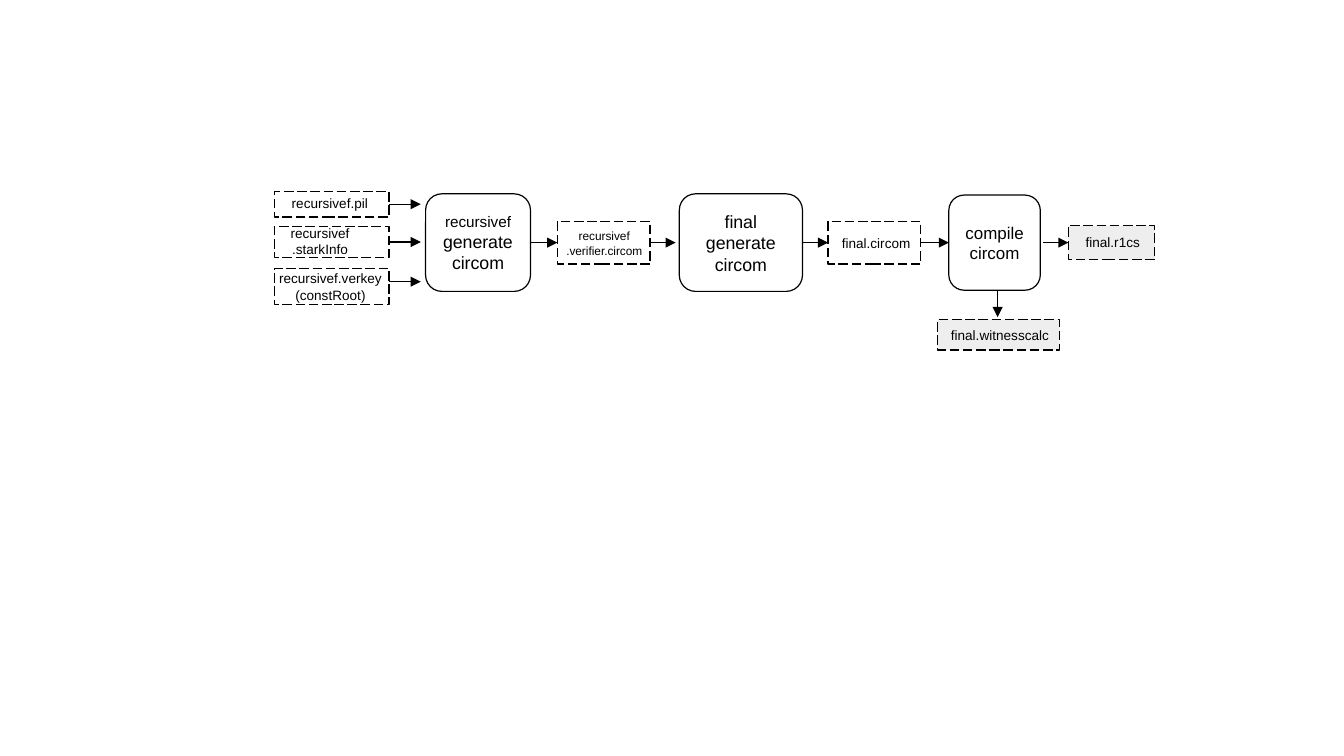
from dataclasses import dataclass
from typing import Optional

from pptx import Presentation
from pptx.dml.color import RGBColor
from pptx.enum.dml import MSO_LINE
from pptx.enum.shapes import MSO_CONNECTOR, MSO_SHAPE
from pptx.enum.text import MSO_ANCHOR, PP_ALIGN
from pptx.oxml.ns import qn
from pptx.util import Inches, Pt
from lxml import etree

RECT, ROUNDED = MSO_SHAPE.RECTANGLE, MSO_SHAPE.ROUNDED_RECTANGLE
STRAIGHT, DASHED = MSO_CONNECTOR.STRAIGHT, MSO_LINE.LONG_DASH
CENTER, MIDDLE = PP_ALIGN.CENTER, MSO_ANCHOR.MIDDLE
LEFT_SIDE, RIGHT_SIDE = 1, 3

CELL = 0.1  # inches per grid column and row
COLS, ROWS = 110.2, 62
FLOW = 19.9  # row on which the main flow is centred
FONT, BLACK, WHITE, GREY = "Arial", "000000", "FFFFFF", "EEEEEE"
LINE_WIDTH = 0.71


@dataclass
class Step:
    key: str
    left: float
    width: float
    height: float
    lines: list[tuple[str, float]]


@dataclass
class File:
    key: str
    left: float
    center: float
    width: float
    height: float
    lines: list[tuple[str, float]]
    label_center: tuple[float, float]
    label_width: float
    fill: Optional[str] = None


@dataclass
class Arrow:
    start: tuple[float, float]
    end: tuple[float, float]
    source: Optional[str] = None
    target: Optional[str] = None


STEPS = [
    Step("recursivef", 34.9, 8.6, 8, [("recursivef", 9), ("generate", 10.5), ("circom", 10.5)]),
    Step("final", 55.7, 10.1, 8, [("final", 10.5), ("generate", 10.5), ("circom", 10.5)]),
    Step("compile", 77.8, 7.5, 7.8, [("compile", 10), ("circom", 10)]),
]

FILES = [
    File("pil", 22.5, 16.75, 9.4, 2.1, [("recursivef.pil", 8)], (27.05, 16.65), 9.1),
    File("starkInfo", 22.5, 19.85, 9.4, 2.5,
         [("recursivef", 8), (".starkInfo", 8)], (26.25, 19.75), 11.3),
    File("verkey", 22.5, 23.5, 9.4, 3,
         [("recursivef.verkey", 8), ("(constRoot)", 8)], (27.1, 23.5), 10.8),
    File("verifier", 45.7, FLOW, 7.6, 3.5,
         [("recursivef", 7), (".verifier.circom", 7)], (49.55, 19.95), 9.3),
    File("circom", 67.9, FLOW, 7.6, 3.5, [("final.circom", 8)], (71.85, 19.95), 9.3),
    File("r1cs", 87.6, FLOW, 7.1, 2.8, [("final.r1cs", 8)], (91.25, 19.85), 9.3, GREY),
    File("witnesscalc", 76.9, 27.45, 10, 2.5,
         [("final.witnesscalc", 8)], (82, 27.45), 11.4, GREY),
]

ARROWS = [
    Arrow((31.9, 16.75), (34.5, 16.75), "pil"),
    Arrow((31.9, 19.85), (34.5, 19.85), "starkInfo"),
    Arrow((31.9, 23.1), (34.5, 23.1)),
    Arrow((43.5, FLOW), (45.7, FLOW), "recursivef", "verifier"),
    Arrow((53.3, FLOW), (55.4, FLOW), "verifier"),
    Arrow((65.8, FLOW), (67.9, FLOW), "final", "circom"),
    Arrow((75.5, FLOW), (77.8, FLOW), "circom", "compile"),
    Arrow((85.5, FLOW), (87.6, FLOW), target="r1cs"),
    Arrow((81.8, 23.8), (81.8, 26)),
]


def grid(cells: float) -> int:
    return Inches(cells * CELL)


def color(value: str) -> RGBColor:
    return RGBColor.from_string(value)


def write(sp, lines: list[tuple[str, float]]) -> None:
    tf = sp.text_frame
    tf.word_wrap = True
    tf.vertical_anchor = MIDDLE
    for i, (text, size) in enumerate(lines):
        p = tf.paragraphs[0] if i == 0 else tf.add_paragraph()
        p.alignment = CENTER
        r = p.add_run()
        r.text = text
        r.font.name = FONT
        r.font.size = Pt(size)
        r.font.color.rgb = color(BLACK)


def add_box(s, kind, left: float, center: float, width: float, height: float,
            fill: Optional[str]):
    """Draw an outlined box centred on a grid row."""
    sp = s.shapes.add_shape(kind, grid(left), grid(center - height / 2),
                            grid(width), grid(height))
    sp.shadow.inherit = False
    if fill:
        sp.fill.solid()
        sp.fill.fore_color.rgb = color(fill)
    else:
        sp.fill.background()
    sp.line.color.rgb = color(BLACK)
    sp.line.width = Pt(LINE_WIDTH)
    return sp


def add_step(s, step: Step):
    sp = add_box(s, ROUNDED, step.left, FLOW, step.width, step.height, WHITE)
    write(sp, step.lines)
    return sp


def add_file(s, file: File):
    sp = add_box(s, RECT, file.left, file.center, file.width, file.height, file.fill)
    sp.line.dash_style = DASHED
    x, y = file.label_center
    height = 2.3 + 1.2 * len(file.lines)
    label = s.shapes.add_textbox(grid(x - file.label_width / 2), grid(y - height / 2),
                                 grid(file.label_width), grid(height))
    write(label, file.lines)
    return sp


def add_arrow(s, arrow: Arrow, boxes: dict) -> None:
    line = s.shapes.add_connector(STRAIGHT, *map(grid, arrow.start + arrow.end))
    if arrow.source:
        line.begin_connect(boxes[arrow.source], RIGHT_SIDE)
    if arrow.target:
        line.end_connect(boxes[arrow.target], LEFT_SIDE)
    line.line.color.rgb = color(BLACK)
    line.line.width = Pt(LINE_WIDTH)
    ln = line.line._get_or_add_ln()
    etree.SubElement(ln, qn("a:tailEnd"), type="triangle")
    etree.SubElement(line._element.spPr, qn("a:effectLst"))


def main() -> None:
    prs = Presentation()
    prs.slide_width, prs.slide_height = grid(COLS), grid(ROWS)
    s = prs.slides.add_slide(prs.slide_layouts[6])
    boxes = {step.key: add_step(s, step) for step in STEPS}
    boxes.update({file.key: add_file(s, file) for file in FILES})
    for arrow in ARROWS:
        add_arrow(s, arrow, boxes)
    prs.save("out.pptx")


if __name__ == "__main__":
    main()
